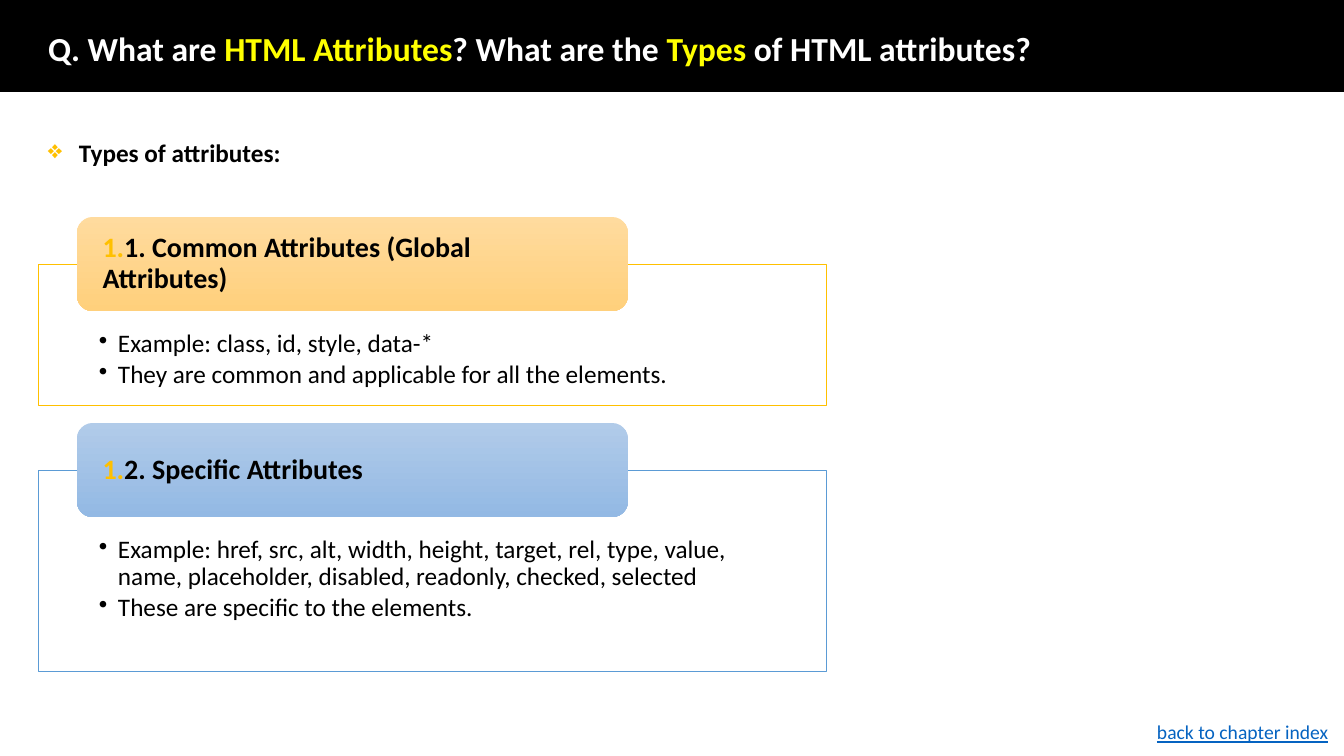
from lxml import etree
from pptx import Presentation
from pptx.dml.color import RGBColor
from pptx.enum.shapes import MSO_SHAPE
from pptx.enum.text import MSO_ANCHOR, MSO_AUTO_SIZE, PP_ALIGN
from pptx.oxml.ns import qn
from pptx.util import Emu, Pt

RECT = MSO_SHAPE.RECTANGLE
ROUNDED = MSO_SHAPE.ROUNDED_RECTANGLE
TOP, MIDDLE = MSO_ANCHOR.TOP, MSO_ANCHOR.MIDDLE
LEFT = PP_ALIGN.LEFT
NO_AUTOFIT = MSO_AUTO_SIZE.NONE

EMU_PER_PX = 914400 / 100.8
COLORS = {
    "black": "000000", "white": "FFFFFF", "yellow": "FFFF00", "gold": "FFC000",
    "blue": "5B9BD5", "link": "0563C1",
    "gold_top": "FFDB9E", "gold_bottom": "FFD07C",
    "blue_top": "B1CBE9", "blue_bottom": "93B9E4",
}
FONTS = {
    "title": {"name": "Calibri", "size": Pt(24), "bold": True},
    "topic": {"name": "Calibri", "size": Pt(18), "bold": True},
    "heading": {"name": "Calibri", "size": Pt(20), "bold": True},
    "detail": {"name": "Calibri", "size": Pt(18), "bold": False},
    "link": {"name": "Calibri", "size": Pt(14), "underline": True},
}
TITLE = [
    ("Q. What are ", "white"), ("HTML Attributes", "yellow"),
    ("? What are the ", "white"), ("Types", "yellow"),
    (" of HTML attributes?", "white"),
]
ATTRIBUTE_TYPES = [
    ("1. Common Attributes (Global Attributes)", "gold", 217, 141,
     ["Example: class, id, style, data-*",
      "They are common and applicable for all the elements."]),
    ("2. Specific Attributes", "blue", 423, 201,
     ["Example: href, src, alt, width, height, target, rel, type, value, "
      "name, placeholder, disabled, readonly, checked, selected",
      "These are specific to the elements."]),
]
HEADING_HEIGHT = 94


def px(value):
    return Emu(round(value * EMU_PER_PX))


def rgb(color):
    return RGBColor.from_string(COLORS[color])


def set_values(target, values):
    for name, value in values.items():
        setattr(target, name, value)


def add_run(paragraph, text, font, color="black"):
    run = paragraph.add_run()
    run.text = text
    set_values(run.font, FONTS[font])
    run.font.color.rgb = rgb(color)


def add_bullet(paragraph, tag, values, indent=0, color="black"):
    props = paragraph._p.get_or_add_pPr()
    props.set("marL", str(px(indent)))
    props.set("indent", str(-px(indent)))
    bullet_color = etree.SubElement(props, qn("a:buClr"))
    etree.SubElement(bullet_color, qn("a:srgbClr"), val=COLORS[color])
    etree.SubElement(props, qn(tag), **values)


def set_frame(frame, anchor, insets):
    left, top, right, bottom = map(px, insets)
    set_values(frame, {
        "word_wrap": True, "vertical_anchor": anchor,
        "margin_left": left, "margin_top": top,
        "margin_right": right, "margin_bottom": bottom,
    })


def add_box(slide, kind, bounds, fill=None, line=None, width=1):
    box = slide.shapes.add_shape(kind, *map(px, bounds))
    box.shadow.inherit = False
    if fill:
        box.fill.solid()
        box.fill.fore_color.rgb = rgb(fill)
    if line:
        box.line.color.rgb = rgb(line)
        box.line.width = Pt(width)
    else:
        box.line.fill.background()
    return box


def add_label(slide, bounds, text, font, color="black"):
    frame = slide.shapes.add_textbox(*map(px, bounds)).text_frame
    set_frame(frame, TOP, (10, 5, 10, 5))
    paragraph = frame.paragraphs[0]
    add_run(paragraph, text, font, color)
    return paragraph


def add_title(slide):
    title = slide.shapes.title
    set_values(title, dict(zip(("left", "top", "width", "height"),
                               map(px, (38, 19, 1159, 64)))))
    frame = title.text_frame
    set_frame(frame, MIDDLE, (10, 5, 10, 5))
    frame.auto_size = NO_AUTOFIT
    paragraph = frame.paragraphs[0]
    set_values(paragraph, {"alignment": LEFT, "line_spacing": 0.9})
    for text, color in TITLE:
        add_run(paragraph, text, "title", color)


def add_details(slide, top, height, accent, details):
    panel = add_box(slide, RECT, (38, top, 788, height), "white", accent, 0.5)
    frame = panel.text_frame
    set_frame(frame, TOP, (61, 67, 61, 14))
    for index, detail in enumerate(details):
        paragraph = frame.add_paragraph() if index else frame.paragraphs[0]
        set_values(paragraph, {"level": 1, "alignment": LEFT,
                               "line_spacing": 0.9, "space_after": Pt(2.7)})
        add_bullet(paragraph, "a:buChar", {"char": "•"}, 19)
        add_run(paragraph, detail, "detail")


def add_heading(slide, top, accent, text):
    heading = add_box(slide, ROUNDED, (77, top, 551, HEADING_HEIGHT))
    heading.fill.gradient()
    heading.fill.gradient_angle = 270
    for stop, end in zip(heading.fill.gradient_stops, ("top", "bottom")):
        stop.color.rgb = rgb(f"{accent}_{end}")
    set_frame(heading.text_frame, MIDDLE, (21, 0, 21, 0))
    paragraph = heading.text_frame.paragraphs[0]
    set_values(paragraph, {"alignment": LEFT, "line_spacing": 0.9})
    add_bullet(paragraph, "a:buAutoNum", {"type": "arabicPeriod"}, color="gold")
    add_run(paragraph, text, "heading")


def main():
    deck = Presentation()
    deck.slide_width, deck.slide_height = px(1344), px(756)
    slide = deck.slides.add_slide(deck.slide_layouts[5])

    banner = add_box(slide, RECT, (0, -1, 1344, 92), "black", "black")
    slide.shapes.title._element.addprevious(banner._element)
    add_title(slide)

    topic = add_label(slide, (38, 132, 881, 40), "Types of attributes:", "topic")
    add_bullet(topic, "a:buChar", {"char": "❖"}, 31, "gold")

    for text, accent, top, height, details in ATTRIBUTE_TYPES:
        add_details(slide, top + HEADING_HEIGHT // 2, height, accent, details)
        add_heading(slide, top, accent, text)

    add_label(slide, (1147, 715, 197, 34), "back to chapter index", "link", "link")
    add_box(slide, RECT, (1240, 6, 100, 80), "black", "black")
    deck.save("out.pptx")


if __name__ == "__main__":
    main()
